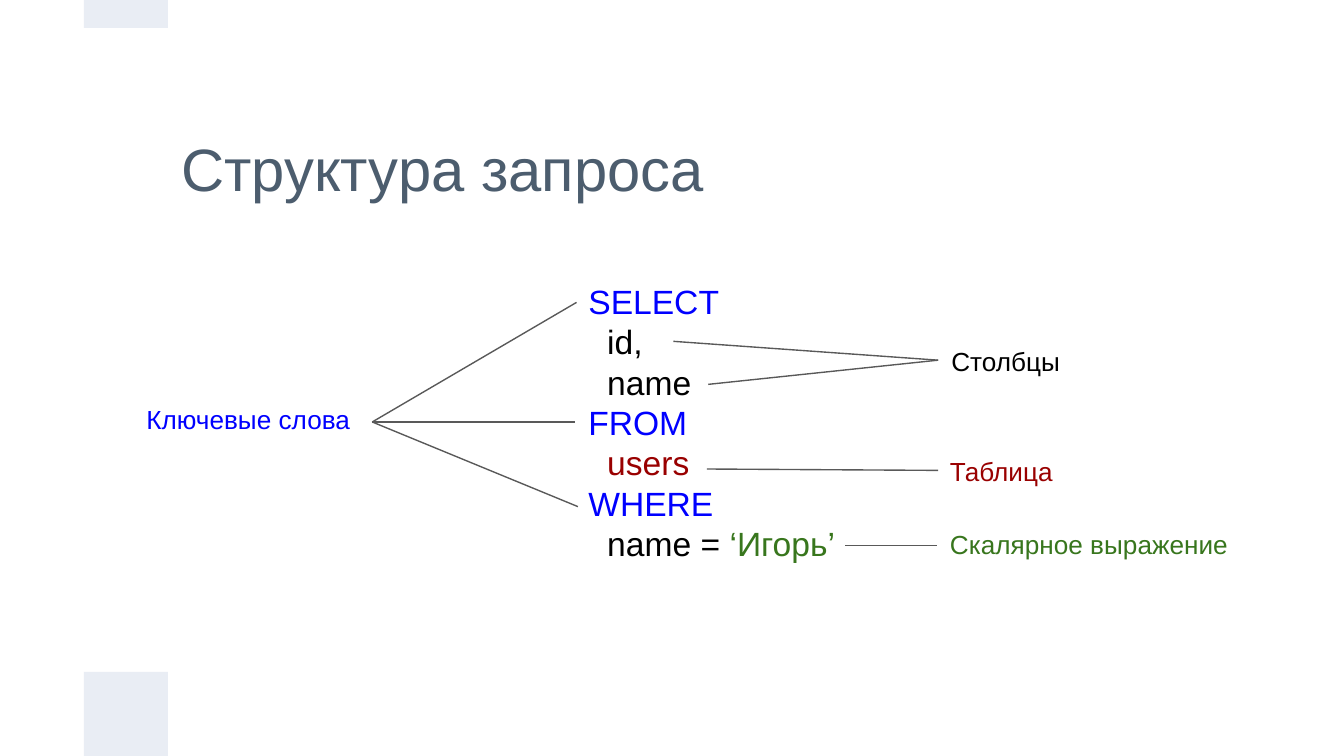
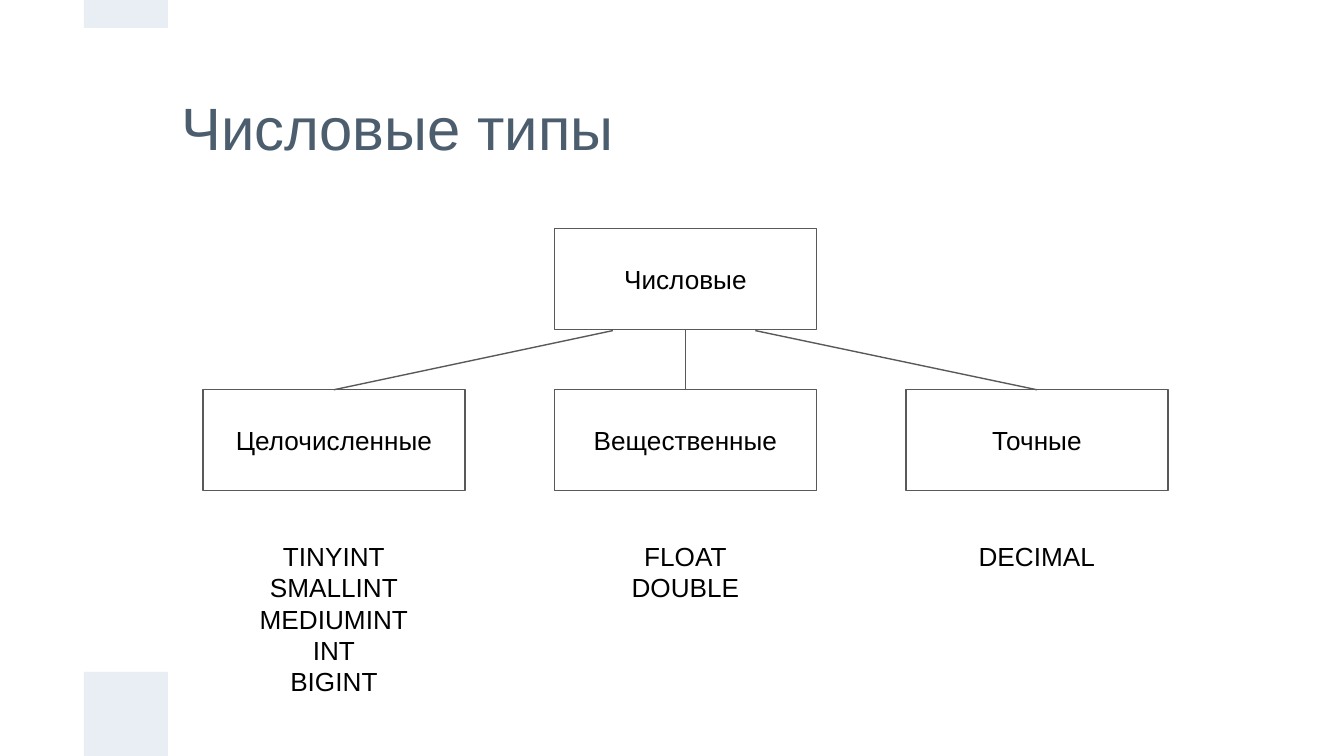
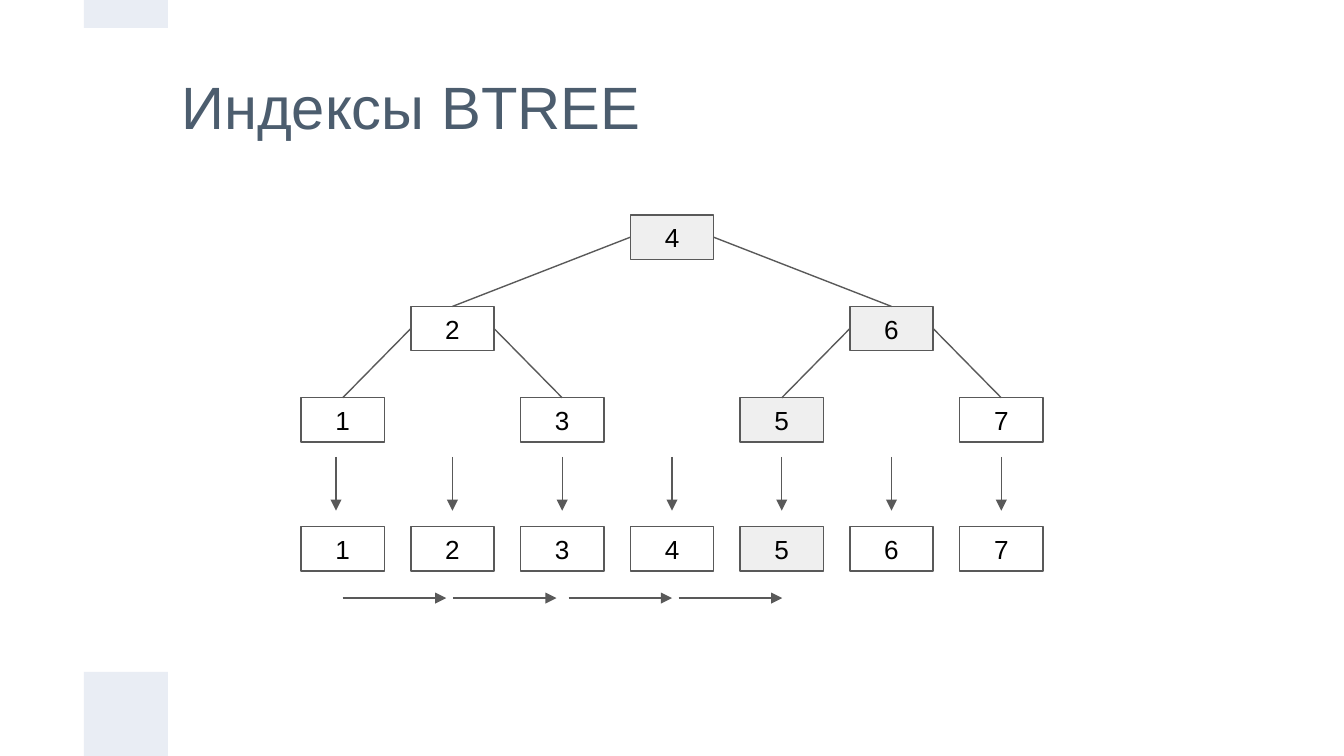
from dataclasses import dataclass

from lxml import etree
from pptx import Presentation
from pptx.dml.color import RGBColor
from pptx.enum.shapes import MSO_CONNECTOR, MSO_SHAPE
from pptx.enum.text import MSO_ANCHOR, PP_ALIGN
from pptx.oxml.ns import qn
from pptx.util import Inches, Pt

RECTANGLE = MSO_SHAPE.RECTANGLE
STRAIGHT = MSO_CONNECTOR.STRAIGHT
TOP, MIDDLE = MSO_ANCHOR.TOP, MSO_ANCHOR.MIDDLE
LEFT, CENTER = PP_ALIGN.LEFT, PP_ALIGN.CENTER
TOP_SITE, LEFT_SITE, RIGHT_SITE = 0, 1, 3


@dataclass(frozen=True)
class Theme:
    font: str = "Arial"
    title_size: int = 32
    code_size: int = 18
    label_size: int = 14
    line_width: float = 0.75
    title: str = "4C5D6E"
    band: str = "E9EDF4"
    line: str = "595959"
    text: str = "000000"
    keyword: str = "0000FF"
    table: str = "990000"
    scalar: str = "38761D"
    visited: str = "EFEFEF"


THEME = Theme()


def add_text(slide, box, lines, size=THEME.label_size, align=LEFT, anchor=TOP,
             outlined=False, fill=None):
    """Write lines, each a list of (text, colour) runs, in a text box or an outlined box."""
    place = [Inches(length) for length in box]
    if outlined:
        shape = slide.shapes.add_shape(RECTANGLE, *place)
        shape.shadow.inherit = False
        shape.line.color.rgb = RGBColor.from_string(THEME.line)
        shape.line.width = Pt(THEME.line_width)
        if fill:
            shape.fill.solid()
            shape.fill.fore_color.rgb = RGBColor.from_string(fill)
        else:
            shape.fill.background()
    else:
        shape = slide.shapes.add_textbox(*place)
    frame = shape.text_frame
    frame.word_wrap = True
    frame.vertical_anchor = anchor
    frame.margin_left = frame.margin_right = Inches(0.1)
    frame.margin_top = frame.margin_bottom = Inches(0.1)
    for index, runs in enumerate(lines):
        paragraph = frame.add_paragraph() if index else frame.paragraphs[0]
        paragraph.alignment = align
        for text, color in runs:
            run = paragraph.add_run()
            run.text = text
            run.font.name = THEME.font
            run.font.size = Pt(size)
            run.font.color.rgb = RGBColor.from_string(color)
    return shape


def add_line(slide, start, end, arrow=False):
    line = slide.shapes.add_connector(
        STRAIGHT, *[Inches(length) for length in (*start, *end)])
    line.line.color.rgb = RGBColor.from_string(THEME.line)
    line.line.width = Pt(THEME.line_width)
    if arrow:
        etree.SubElement(line.line._get_or_add_ln(), qn("a:tailEnd"), type="triangle")
    etree.SubElement(line._element.spPr, qn("a:effectLst"))
    return line


deck = Presentation()
deck.slide_width = Inches(10)
deck.slide_height = deck.slide_width * 9 // 16

# Shared titles and bands
band_side = deck.slide_width // 16
titles = [
    ("Структура запроса", (1.25, 0.62, 7.5, 1.25)),
    ("Числовые типы", (1.25, 0.32, 7.69, 1.25)),
    ("Индексы BTREE", (1.25, 0.32, 7.69, 0.93)),
]
for title, title_box in titles:
    slide = deck.slides.add_slide(deck.slide_layouts[6])
    add_text(slide, title_box, [[(title, THEME.title)]], THEME.title_size, anchor=MIDDLE)
    for band_top, band_height in [(Inches(5), band_side), (0, band_side // 3)]:
        band = slide.shapes.add_shape(RECTANGLE, band_side, band_top, band_side, band_height)
        band.shadow.inherit = False
        band.fill.solid()
        band.fill.fore_color.rgb = RGBColor.from_string(THEME.band)
        band.line.fill.background()
query_slide, types_slide, index_slide = deck.slides

# Query structure
query = [
    [("SELECT", THEME.keyword)],
    [("id,", THEME.text)],
    [("name", THEME.text)],
    [("FROM", THEME.keyword)],
    [("users", THEME.table)],
    [("WHERE", THEME.keyword)],
    [("name = ", THEME.text), ("‘Игорь’", THEME.scalar)],
]
code = add_text(query_slide, (4.28, 1.99, 2.07, 2.3), query, THEME.code_size)
for paragraph, runs in zip(code.text_frame.paragraphs, query):
    if runs[0][1] != THEME.keyword:
        paragraph._p.get_or_add_pPr().set("marL", str(Inches(0.14)))

# Label, its colour and box, where its lines start, and the code they point to
query_parts = [
    ("Ключевые слова", THEME.keyword, (0.99, 2.9, 1.78, 0.47), (2.77, 3.14),
     [(4.29, 2.25), (4.3, 3.77), (4.28, 3.14)]),
    ("Скалярное выражение", THEME.scalar, (6.97, 3.83, 2.4, 0.47), (6.97, 4.06),
     [(6.29, 4.06)]),
    ("Таблица", THEME.table, (6.97, 3.29, 1.06, 0.42), (6.98, 3.5), [(5.26, 3.49)]),
    ("Столбцы", THEME.text, (6.98, 2.47, 1.06, 0.42), (6.98, 2.68),
     [(5.01, 2.54), (5.27, 2.86)]),
]
for label, color, label_box, start, targets in query_parts:
    add_text(query_slide, label_box, [[(label, color)]])
    for target in targets:
        add_line(query_slide, start, target)

# Numeric types
GROUP_WIDTH, GROUP_HEIGHT, GROUP_TOP, ROOT_TOP = 1.95, 0.75, 2.9, 1.7
GROUP_CENTER, GROUP_PITCH = 5.1, 2.615
groups = [
    ("Целочисленные", ["TINYINT", "SMALLINT", "MEDIUMINT", "INT", "BIGINT"],
     1.4, (4.56, 2.46)),
    ("Вещественные", ["FLOAT", "DOUBLE"], 1.1, (GROUP_CENTER, 2.45)),
    ("Точные", ["DECIMAL"], 1.1, (5.62, 2.46)),
]
add_text(types_slide, (GROUP_CENTER - GROUP_WIDTH / 2, ROOT_TOP, GROUP_WIDTH, GROUP_HEIGHT),
         [[("Числовые", THEME.text)]], align=CENTER, anchor=MIDDLE, outlined=True)
for column, (group, type_names, names_width, branch_start) in enumerate(groups):
    center = GROUP_CENTER + (column - 1) * GROUP_PITCH
    add_text(types_slide, (center - GROUP_WIDTH / 2, GROUP_TOP, GROUP_WIDTH, GROUP_HEIGHT),
             [[(group, THEME.text)]], align=CENTER, anchor=MIDDLE, outlined=True)
    add_text(types_slide,
             (center - names_width / 2, 3.92, names_width, 0.22 + 0.24 * len(type_names)),
             [[(name, THEME.text)] for name in type_names], align=CENTER)
    add_line(types_slide, branch_start, (center, GROUP_TOP))

# BTREE index
NODE_WIDTH, NODE_HEIGHT, LEAF_TOP = 0.62, 0.33, 3.92
key_centers = {key: 5 + (key - 4) * 4.9 / 6 for key in range(1, 8)}
level_tops = {4: 1.6, 2: 2.28, 6: 2.28, 1: 2.96, 3: 2.96, 5: 2.96, 7: 2.96}
search_path = {4, 6, 5}
tree_nodes = {}
for key, center in key_centers.items():
    for top, visited in [(level_tops[key], key in search_path), (LEAF_TOP, key == 5)]:
        node = add_text(
            index_slide, (center - NODE_WIDTH / 2, top, NODE_WIDTH, NODE_HEIGHT),
            [[(str(key), THEME.text)]], align=CENTER, anchor=MIDDLE, outlined=True,
            fill=THEME.visited if visited else None)
        if top != LEAF_TOP:
            tree_nodes[key] = node

for parent, children in {4: (2, 6), 2: (1, 3), 6: (5, 7)}.items():
    for child, side in zip(children, (LEFT_SITE, RIGHT_SITE)):
        branch = add_line(index_slide, (0, 0), (0, 0))
        branch.begin_connect(tree_nodes[parent], side)
        branch.end_connect(tree_nodes[child], TOP_SITE)

for key, center in key_centers.items():
    arrow_x = 2.5 if key == 1 else center
    add_line(index_slide, (arrow_x, 3.4), (arrow_x, 3.8), arrow=True)
for scan_start in (2.55, 3.37, 4.23, 5.05):
    add_line(index_slide, (scan_start, 4.45), (scan_start + 0.77, 4.45), arrow=True)

deck.save("out.pptx")
